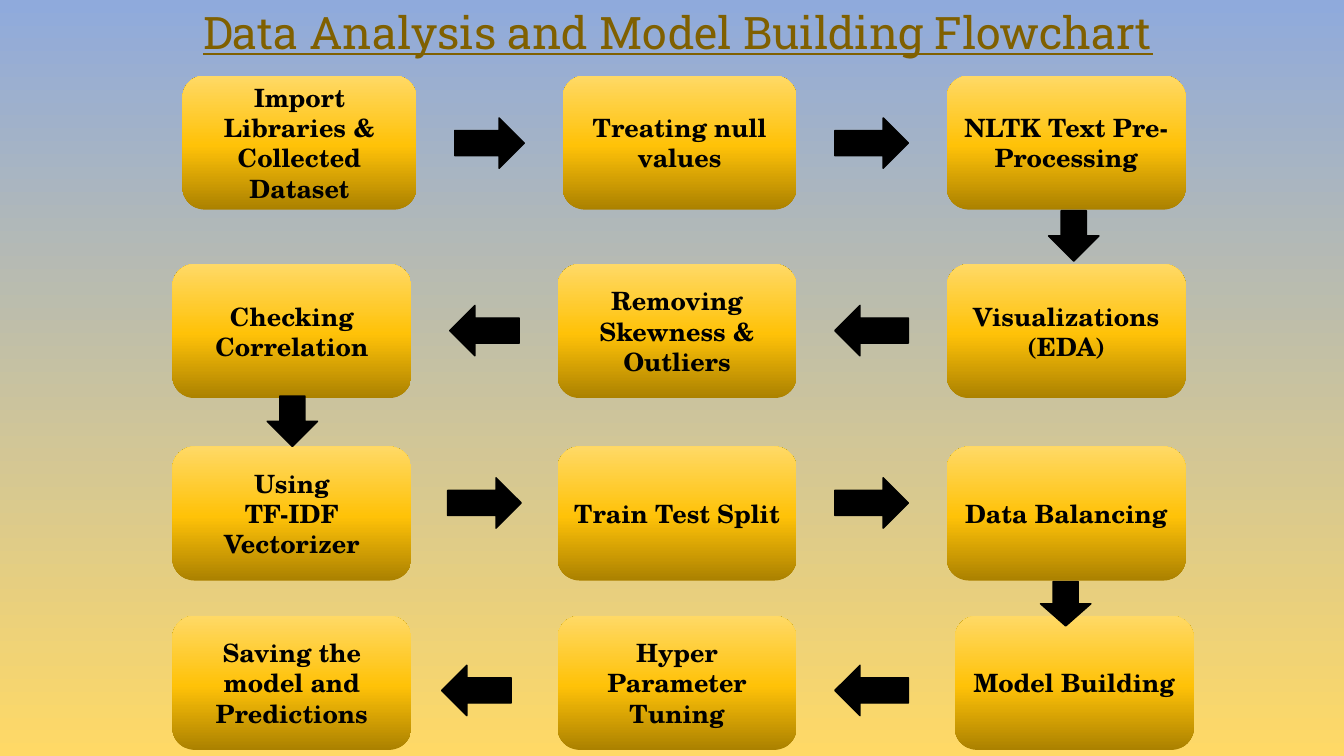
import copy

import pptx
import pptx.dml.color
import pptx.enum.shapes
import pptx.enum.text
import pptx.oxml.ns
import pptx.util

PX = 9144
SLIDE_WIDTH, SLIDE_HEIGHT = 1333, 750
BOX_HEIGHT, ARROW_SIZE = 133, 50

RGBColor = pptx.dml.color.RGBColor
SKY = RGBColor(0x8F, 0xAA, 0xDC)
LIGHT_GOLD = RGBColor(0xFF, 0xD9, 0x66)
GOLD = RGBColor(0xFF, 0xC2, 0x08)
DARK_GOLD = RGBColor(0xAB, 0x81, 0x00)
BROWN = RGBColor(0x80, 0x60, 0x00)
BLACK = RGBColor(0x00, 0x00, 0x00)

BACKGROUND_STOPS = [(0, SKY), (1, LIGHT_GOLD)]
BOX_STOPS = [(0, DARK_GOLD), (0.48, GOLD), (1, LIGHT_GOLD)]

SHAPES = pptx.enum.shapes.MSO_SHAPE
RIGHT, LEFT, DOWN = SHAPES.RIGHT_ARROW, SHAPES.LEFT_ARROW, SHAPES.DOWN_ARROW

# Each row: top, arrow offset, arrow kind, steps (left, width, text), arrows (left, width)
ROWS = [
    (75, 42, RIGHT,
     [(181, 232, "Import Libraries & Collected Dataset"),
      (558, 232, "Treating null values"),
      (939, 237, "NLTK Text Pre-Processing")],
     [(451, 69), (828, 73)]),
    (262, 41, LEFT,
     [(171, 237, "Checking Correlation"),
      (553, 237, "Removing Skewness & Outliers"),
      (939, 237, "Visualizations\n(EDA)")],
     [(446, 69), (828, 73)]),
    (443, 31, RIGHT,
     [(171, 237, "Using\nTF-IDF Vectorizer"),
      (553, 237, "Train Test Split"),
      (939, 237, "Data Balancing")],
     [(444, 73), (828, 73)]),
    (611, 49, LEFT,
     [(171, 237, "Saving the model and Predictions"),
      (553, 237, "Hyper Parameter Tuning"),
      (947, 237, "Model Building")],
     [(438, 69), (828, 73)]),
]
ROW_LINKS = [(1040, 209, 50), (265, 393, 50), (1032, 577, 44)]


def set_gradient(fill, element, stops, angle):
    fill.gradient()
    fill.gradient_angle = angle
    stop_list = element.find(".//" + pptx.oxml.ns.qn("a:gsLst"))
    while len(stop_list) < len(stops):
        stop_list.append(copy.deepcopy(stop_list[0]))
    for stop, (position, color) in zip(fill.gradient_stops, stops):
        stop.position = position
        stop.color.rgb = color


def format_text(text_frame, font_name, size, color, bold=False, underline=False):
    text_frame.word_wrap = True
    for paragraph in text_frame.paragraphs:
        paragraph.alignment = pptx.enum.text.PP_ALIGN.CENTER
        for run in paragraph.runs:
            run.font.name = font_name
            run.font.size = pptx.util.Pt(size)
            run.font.color.rgb = color
            run.font.bold = bold
            run.font.underline = underline


def add_title(slide, left, top, width, height):
    title = slide.shapes.title
    title.left, title.top = left * PX, top * PX
    title.width, title.height = width * PX, height * PX
    title.text_frame.text = "Data Analysis and Model Building Flowchart"
    title.text_frame.vertical_anchor = pptx.enum.text.MSO_ANCHOR.TOP
    format_text(title.text_frame, "Roboto Slab", 32, BROWN, underline=True)


def add_preset(slide, kind, left, top, width, height):
    shape = slide.shapes.add_shape(kind, left * PX, top * PX, width * PX, height * PX)
    shape.shadow.inherit = False
    return shape


def add_step(slide, left, top, width, height, text):
    box = add_preset(slide, SHAPES.FLOWCHART_ALTERNATE_PROCESS, left, top, width, height)
    set_gradient(box.fill, box.element, BOX_STOPS, 90)
    box.line.fill.background()
    box.text_frame.text = text
    box.text_frame.vertical_anchor = pptx.enum.text.MSO_ANCHOR.MIDDLE
    format_text(box.text_frame, "TeX Gyre Schola", 18, BLACK, bold=True)


def add_arrow(slide, kind, left, top, width, height):
    arrow = add_preset(slide, kind, left, top, width, height)
    arrow.fill.solid()
    arrow.fill.fore_color.rgb = BLACK
    arrow.line.color.rgb = BLACK
    arrow.line.width = pptx.util.Pt(1)


def add_row(slide, top, arrow_offset, arrow_kind, steps, arrows):
    for left, width, text in steps:
        add_step(slide, left, top, width, BOX_HEIGHT, text)
    for left, width in arrows:
        add_arrow(slide, arrow_kind, left, top + arrow_offset, width, ARROW_SIZE)


def main():
    presentation = pptx.Presentation()
    presentation.slide_width = SLIDE_WIDTH * PX
    presentation.slide_height = SLIDE_HEIGHT * PX
    slide = presentation.slides.add_slide(presentation.slide_layouts[5])
    set_gradient(slide.background.fill, slide.element, BACKGROUND_STOPS, 270)
    add_title(slide, 59, 0, 1227, 94)
    for row in ROWS:
        add_row(slide, *row)
    for left, top, height in ROW_LINKS:
        add_arrow(slide, DOWN, left, top, ARROW_SIZE, height)
    presentation.save("out.pptx")


if __name__ == "__main__":
    main()
